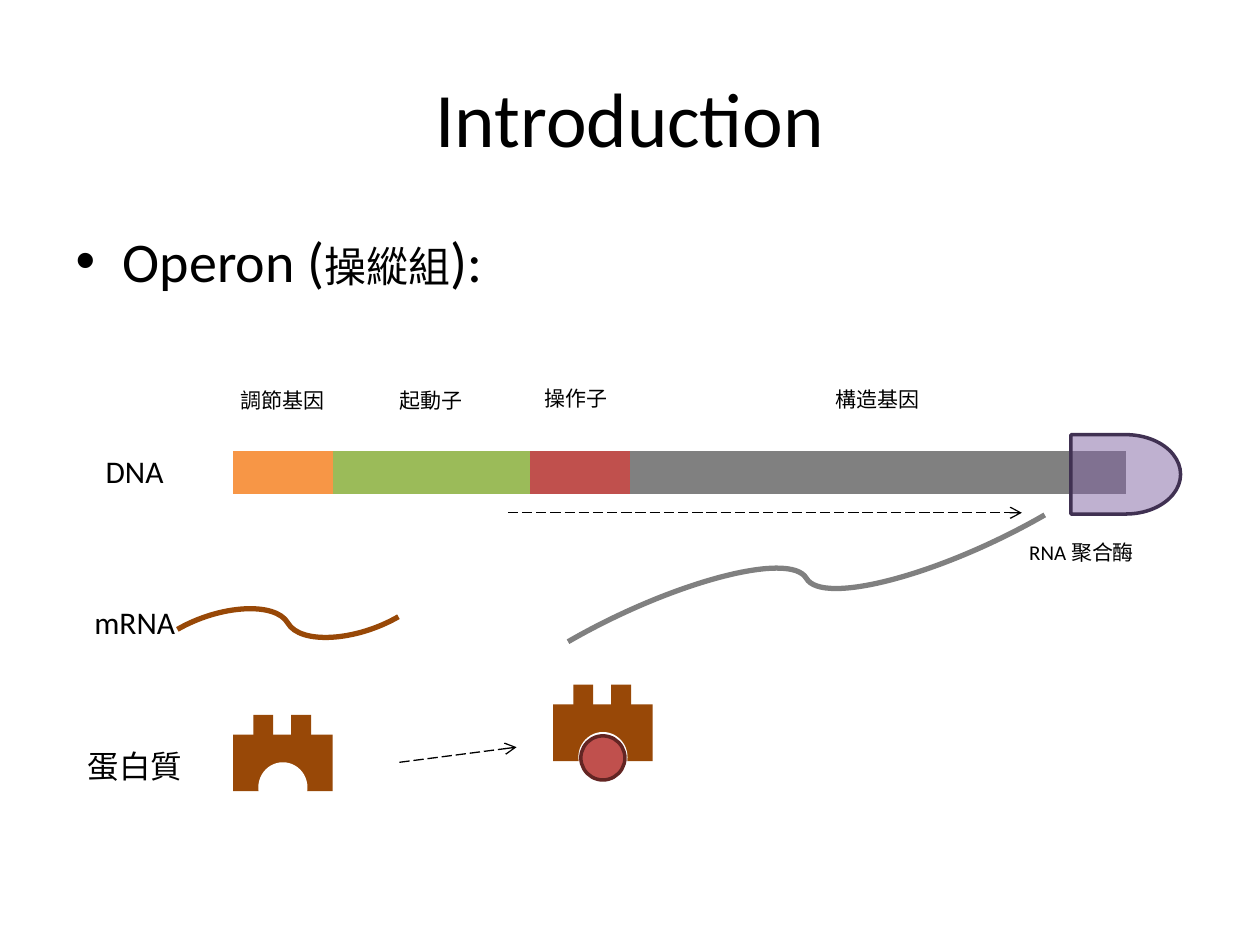
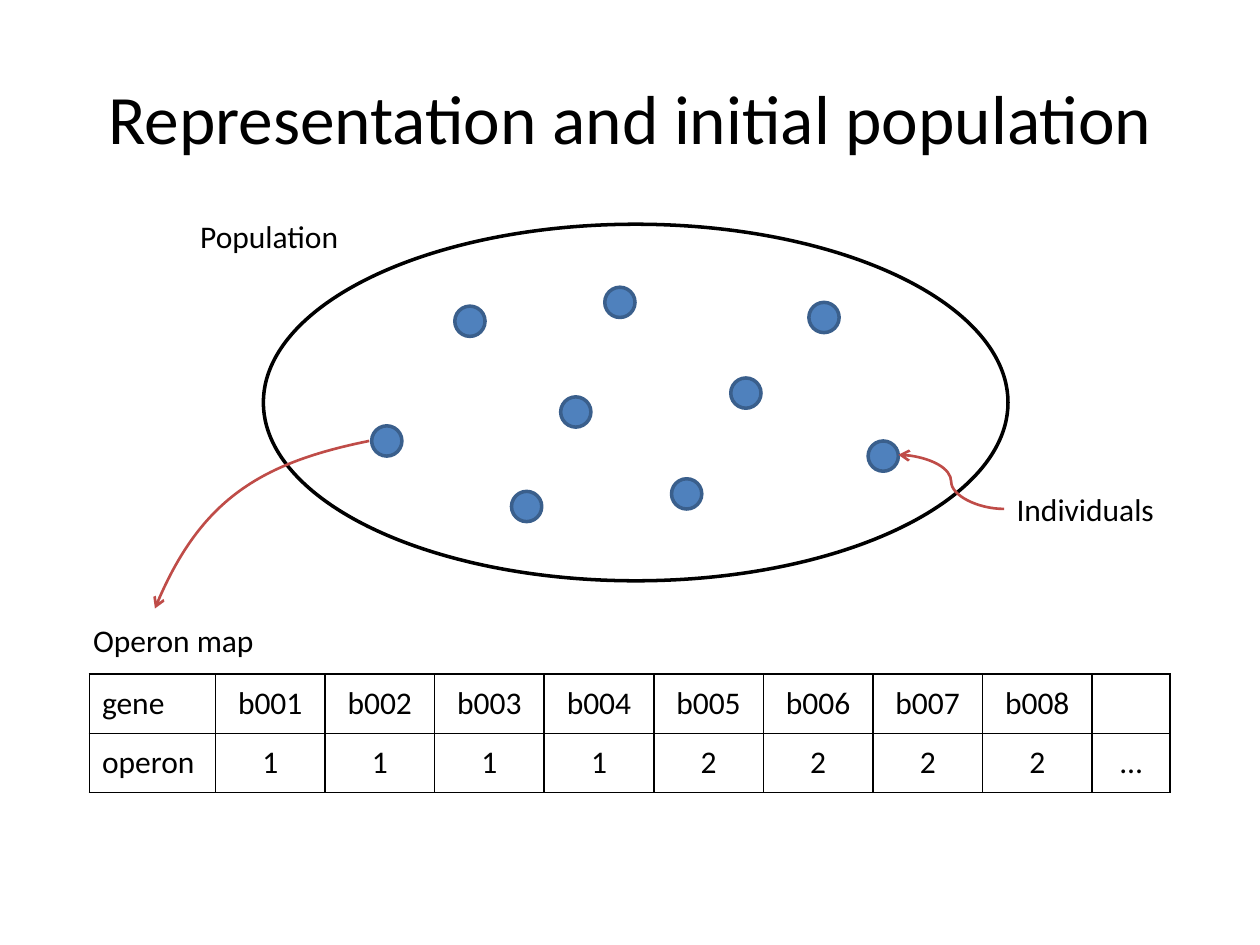
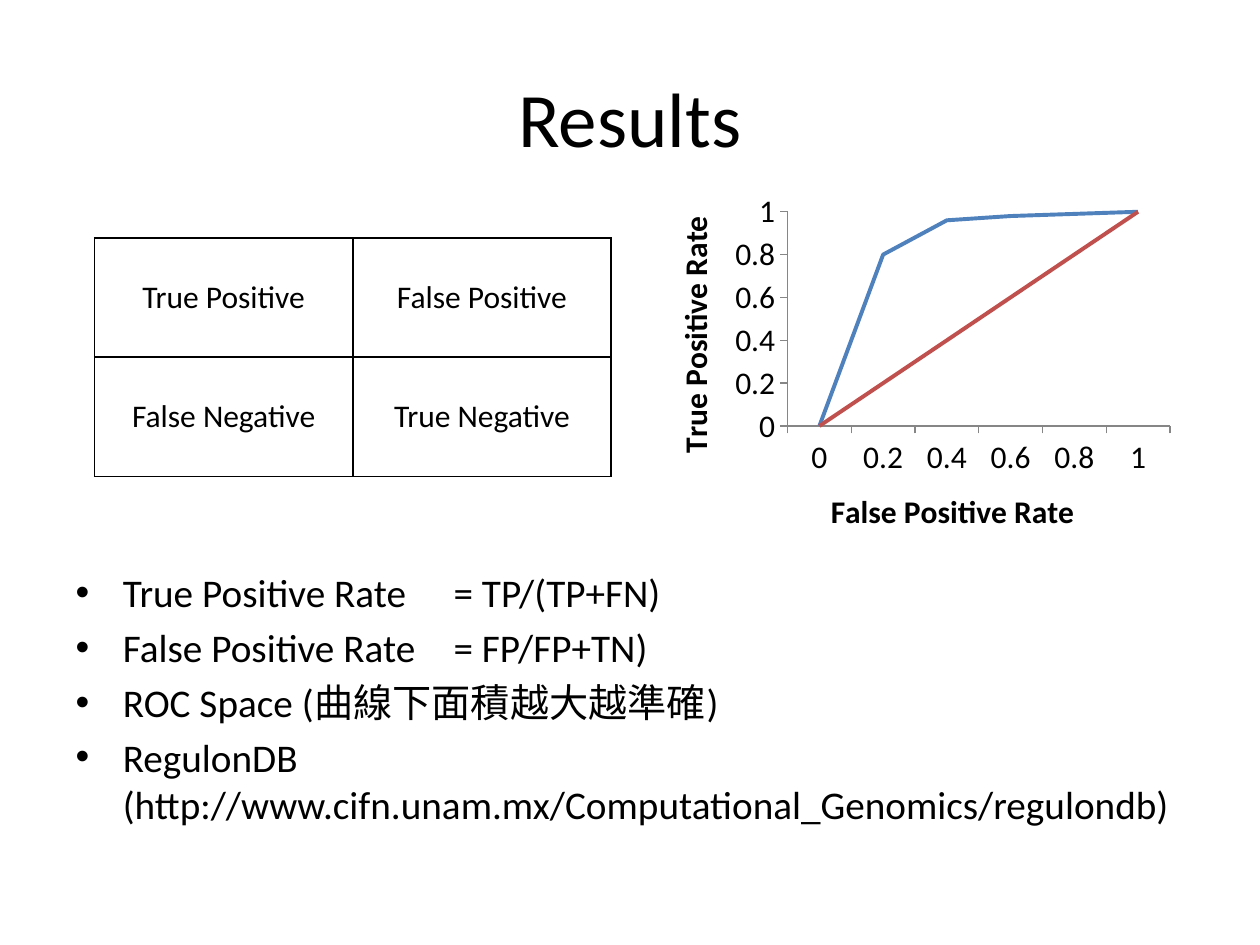
from itertools import pairwise
from typing import NamedTuple

from lxml.etree import SubElement
from pptx import Presentation
from pptx.chart.data import CategoryChartData
from pptx.dml.color import RGBColor as RGB
from pptx.enum.chart import XL_CHART_TYPE as ChartType
from pptx.enum.dml import MSO_LINE as Dash
from pptx.enum.shapes import MSO_CONNECTOR as Connector, MSO_SHAPE as Preset
from pptx.enum.text import MSO_ANCHOR as Anchor, MSO_AUTO_SIZE as AutoSize, PP_ALIGN as Align
from pptx.oxml.ns import qn
from pptx.util import Pt

PX = 9144
FONT = "Calibri"
COLORS = {
    "black": "000000",
    "white": "FFFFFF",
    "regulator": "F79646",
    "promoter": "9BBB59",
    "operator": "C0504D",
    "structural": "808080",
    "repressor": "984807",
    "inducer edge": "632523",
    "polymerase": "8064A2",
    "polymerase edge": "403152",
    "individual": "4F81BD",
    "individual edge": "3A5F8C",
    "pointer": "BF4C48",
    "axis": "868686",
}


class Box(NamedTuple):
    left: int
    top: int
    width: int
    height: int

    def emu(self) -> list[int]:
        return [side * PX for side in self]


class Label(NamedTuple):
    text: str
    box: Box
    size: int = 18


class Stroke(NamedTuple):
    color: str
    width: float
    dashed: bool = False
    arrow: bool = False


class Link(NamedTuple):
    start: tuple[int, int]
    end: tuple[int, int]
    stroke: Stroke
    kind: Connector = Connector.STRAIGHT
    turn: int = 0


TITLE_BOX = Box(50, 30, 900, 125)


def rgb(name: str) -> RGB:
    return RGB.from_string(COLORS[name])


def set_font(font, size: float, bold: bool = False) -> None:
    font.name = FONT
    font.size = Pt(size)
    font.bold = bold
    font.color.rgb = rgb("black")


def place(shape, box: Box) -> None:
    shape.left, shape.top, shape.width, shape.height = box.emu()


def add_slide(deck, layout: int, title: str, size: float = 44):
    slide = deck.slides.add_slide(deck.slide_layouts[layout])
    heading = slide.shapes.title
    place(heading, TITLE_BOX)
    heading.text_frame.text = title
    set_font(heading.text_frame.paragraphs[0].font, size)
    return slide


def fill_body(slide, box: Box, lines: list[str], size: float):
    body = slide.placeholders[1]
    place(body, box)
    body.text_frame.text = "\n".join(lines)
    for paragraph in body.text_frame.paragraphs:
        set_font(paragraph.font, size)
    return body


def apply_stroke(shape, stroke: Stroke) -> None:
    shape.line.color.rgb = rgb(stroke.color)
    shape.line.width = Pt(stroke.width)
    if stroke.dashed:
        shape.line.dash_style = Dash.LONG_DASH
    if stroke.arrow:
        SubElement(shape.element.spPr.find(qn("a:ln")), qn("a:tailEnd"), type="arrow")


def add_link(slide, link: Link) -> None:
    ends = [side * PX for side in (*link.start, *link.end)]
    connector = slide.shapes.add_connector(link.kind, *ends)
    apply_stroke(connector, link.stroke)
    properties = connector.element.spPr
    SubElement(properties, qn("a:effectLst"))
    if link.turn:
        properties.xfrm.set("rot", str(link.turn * 60000))


def add_preset(shapes, preset: Preset, box: Box, fill: str, stroke: Stroke | None = None):
    shape = shapes.add_shape(preset, *box.emu())
    shape.shadow.inherit = False
    shape.fill.solid()
    shape.fill.fore_color.rgb = rgb(fill)
    if stroke:
        apply_stroke(shape, stroke)
    else:
        shape.line.fill.background()
    return shape


def add_label(slide, label: Label) -> None:
    frame = slide.shapes.add_textbox(*label.box.emu()).text_frame
    frame.word_wrap = False
    frame.auto_size = AutoSize.SHAPE_TO_FIT_TEXT
    frame.text = label.text
    set_font(frame.paragraphs[0].font, label.size)


def add_repressor(slide, left: int, top: int) -> None:
    parts = slide.shapes.add_group_shape().shapes
    prongs = add_preset(parts, Preset.MATH_EQUAL, Box(left + 4, top, 70, 100), "repressor")
    prongs.rotation = 270
    prongs.adjustments[0], prongs.adjustments[1] = 0.157, 0.144
    add_preset(parts, Preset.RECTANGLE, Box(left, top + 40, 79, 45), "repressor")
    add_preset(parts, Preset.OVAL, Box(left + 20, top + 62, 39, 40), "white")


def add_grid(slide, box: Box, widths: list[int], rows: list[list[str]], left_columns: int = 0) -> None:
    table = slide.shapes.add_table(len(rows), len(widths), *box.emu()).table
    table.first_row = table.horz_banding = False
    for column, width in zip(table.columns, widths):
        column.width = width * PX
    for row, texts in enumerate(rows):
        for col, text in enumerate(texts):
            cell = table.cell(row, col)
            cell.text = text
            cell.vertical_anchor = Anchor.MIDDLE
            paragraph = cell.text_frame.paragraphs[0]
            paragraph.alignment = Align.LEFT if col < left_columns else Align.CENTER
            set_font(paragraph.font, 18)
            properties = cell._tc.get_or_add_tcPr()
            for side in ("lnL", "lnR", "lnT", "lnB"):
                border = SubElement(properties, qn(f"a:{side}"), w=str(Pt(1)))
                paint = SubElement(border, qn("a:solidFill"))
                SubElement(paint, qn("a:srgbClr"), val=COLORS["black"])
            cell.fill.background()


def add_curve(slide, points: list[tuple[int, int]], stroke: Stroke) -> None:
    builder = slide.shapes.build_freeform(*points[0], scale=PX)
    builder.add_line_segments(points[1:], close=False)
    curve = builder.convert_to_shape()
    curve.shadow.inherit = False
    curve.fill.background()
    apply_stroke(curve, stroke)
    outline = next(curve.element.iter(qn("a:path")))
    segments = outline.findall(qn("a:lnTo"))
    bezier = SubElement(outline, qn("a:cubicBezTo"))
    for segment in segments:
        bezier.append(segment[0])
        outline.remove(segment)


def build_introduction(deck) -> None:
    slide = add_slide(deck, 1, "Introduction")
    operon = fill_body(slide, Box(50, 175, 900, 495), [""], 32).text_frame.paragraphs[0]
    for text, size in (("Operon (", 32), ("操縱組", 24), ("):", 32)):
        run = operon.add_run()
        run.text = text
        run.font.size = Pt(size)

    genes = ("regulator", "promoter", "operator", "structural")
    for gene, (start, end) in zip(genes, pairwise((185, 264, 421, 500, 894))):
        add_link(slide, Link((start, 375), (end, 375), Stroke(gene, 24)))

    add_repressor(slide, 185, 543)
    add_repressor(slide, 439, 519)
    add_preset(slide.shapes, Preset.OVAL, Box(461, 584, 35, 35), "operator", Stroke("inducer edge", 2))
    polymerase = add_preset(slide.shapes, Preset.FLOWCHART_DELAY, Box(850, 345, 87, 63),
                            "polymerase", Stroke("polymerase edge", 2))
    tint = next(polymerase.element.spPr.iter(qn("a:srgbClr")))
    SubElement(tint, qn("a:alpha"), val="50000")

    for label in (
        Label("DNA", Box(74, 354, 67, 40)),
        Label("mRNA", Box(65, 474, 85, 40)),
        Label("蛋白質", Box(60, 588, 96, 40)),
        Label("RNA 聚合酶", Box(807, 423, 104, 30), 12),
        Label("調節基因", Box(181, 303, 88, 30), 12),
        Label("起動子", Box(307, 303, 71, 30), 12),
        Label("操作子", Box(422, 301, 71, 30), 12),
        Label("構造基因", Box(653, 302, 88, 30), 12),
    ):
        add_label(slide, label)

    step = Stroke("black", 0.75, dashed=True, arrow=True)
    for link in (
        Link((150, 455), (307, 534), Stroke("repressor", 3), Connector.CURVE, 330),
        Link((451, 408), (829, 510), Stroke("structural", 3), Connector.CURVE, 330),
        Link((317, 605), (410, 593), step),
        Link((403, 407), (811, 407), step),
    ):
        add_link(slide, link)


def build_representation(deck) -> None:
    slide = add_slide(deck, 5, "Representation and initial population", 39.6)
    genes = [f"b{number:03}" for number in range(1, 9)]
    add_grid(slide, Box(71, 535, 858, 94), [100, *[87] * 8, 62],
             [["gene", *genes, ""], ["operon", *"11112222", "…"]], left_columns=1)
    add_preset(slide.shapes, Preset.OVAL, Box(209, 178, 591, 283), "white", Stroke("black", 2))
    for left, top in ((361, 243), (480, 228), (295, 338), (642, 240), (580, 300),
                      (406, 390), (533, 380), (445, 315), (689, 350)):
        add_preset(slide.shapes, Preset.OVAL, Box(left, top, 24, 24),
                   "individual", Stroke("individual edge", 2))
    for label in (
        Label("Operon map", Box(64, 488, 149, 40)),
        Label("Population", Box(149, 167, 132, 40)),
        Label("Individuals", Box(797, 384, 130, 40)),
    ):
        add_label(slide, label)
    pointer = Stroke("pointer", 1.5, arrow=True)
    add_link(slide, Link((797, 404), (713, 361), pointer, Connector.CURVE))
    add_curve(slide, [(293, 350), (209, 367), (158, 397), (123, 483)], pointer)


def add_roc_chart(slide, box: Box) -> None:
    rates = (0, 0.2, 0.4, 0.6, 0.8, 1)
    data = CategoryChartData()
    data.categories = rates
    data.add_series("Series 1", (0, 0.8, 0.96, 0.98, 0.99, 1))
    data.add_series("Series 2", rates)
    chart = slide.shapes.add_chart(ChartType.LINE, *box.emu(), data).chart
    chart.has_legend = chart.has_title = False
    set_font(chart.font, 18)
    chart.plots[0].vary_by_categories = False
    for series, color in zip(chart.plots[0].series, ("individual", "operator")):
        series.smooth = False
        series.format.line.color.rgb = rgb(color)
        series.format.line.width = Pt(2.25)
    for axis, title, number_format in (
        (chart.category_axis, "False Positive Rate", "0.0"),
        (chart.value_axis, "True Positive Rate", "General"),
    ):
        axis.has_major_gridlines = False
        axis.format.line.color.rgb = rgb("axis")
        axis.tick_labels.number_format = number_format
        axis.tick_labels.number_format_is_linked = False
        frame = axis.axis_title.text_frame
        frame.text = title
        set_font(frame.paragraphs[0].font, 18, bold=True)
    chart.value_axis.minimum_scale = 0
    chart.value_axis.maximum_scale = 1
    chart.value_axis.major_unit = 0.2


def build_results(deck) -> None:
    slide = add_slide(deck, 1, "Results")
    fill_body(slide, Box(50, 446, 900, 224), [
        "True Positive Rate\t= TP/(TP+FN)",
        "False Positive Rate\t= FP/FP+TN)",
        "ROC Space (曲線下面積越大越準確)",
        "RegulonDB (http://www.cifn.unam.mx/Computational_Genomics/regulondb)",
    ], 22.4)
    add_grid(slide, Box(75, 189, 410, 189), [205, 205],
             [["True Positive", "False Positive"], ["False Negative", "True Negative"]])
    add_roc_chart(slide, Box(512, 147, 425, 299))


def main() -> None:
    deck = Presentation()
    deck.slide_width, deck.slide_height = 1000 * PX, 750 * PX
    build_introduction(deck)
    build_representation(deck)
    build_results(deck)
    deck.save("out.pptx")


if __name__ == "__main__":
    main()
